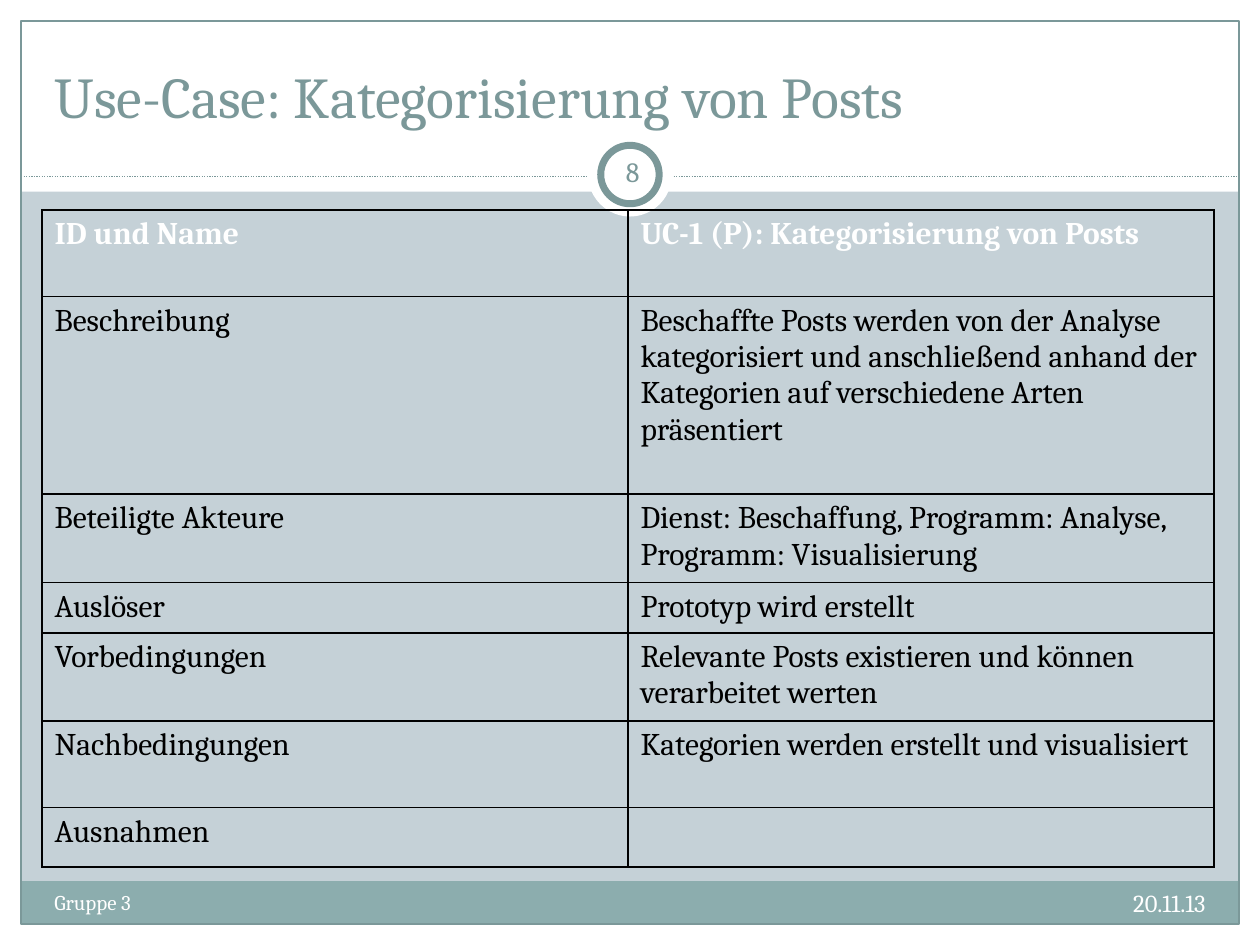
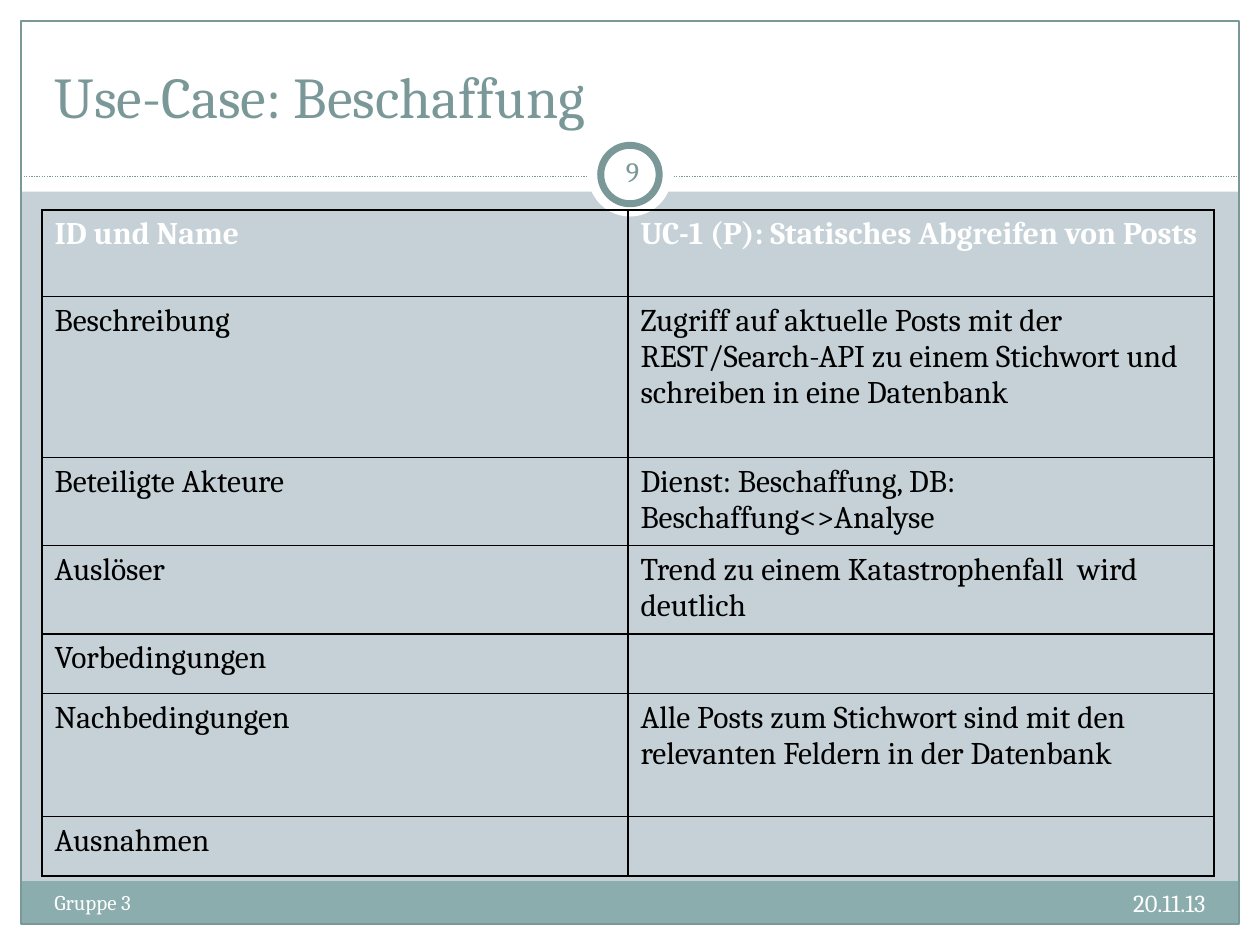
from collections import namedtuple
from dataclasses import dataclass

from lxml import etree
from pptx import Presentation
from pptx.dml.color import RGBColor
from pptx.enum import dml, shapes, text
from pptx.oxml import ns
from pptx.util import Pt

Box = namedtuple("Box", "left top width height")


@dataclass(frozen=True)
class Theme:
    font: str = "Cambria"
    paper: str = "FFFFFF"
    ground: str = "C5D1D7"
    accent: str = "7B9899"
    band: str = "8CADAE"
    ink: str = "000000"
    title: int = 33
    body: int = 18
    number: int = 16
    date: int = 14
    footer: int = 12
    hairline: float = 0.74
    ring: int = 4
    grid: int = 1


THEME = Theme()
PAGE = Box(0, 0, 720, 540)
MARGIN = 12
HEADER_HEIGHT = 109.5
FOOTER_TOP = 503.5
TEXT_LEFT, TEXT_WIDTH = 24, 672
TITLE_BOX = Box(TEXT_LEFT, 18, TEXT_WIDTH, 60)
FOOTER_BOX = Box(TEXT_LEFT, FOOTER_TOP, TEXT_WIDTH, 29)
BADGE_BOX = Box(336, 75.75, 48, 48)
TABLE_BOX = Box(TEXT_LEFT, 120, 669.6, 0)
RULE_Y = 101

LABELS = ("ID und Name", "Beschreibung", "Beteiligte Akteure", "Auslöser",
          "Vorbedingungen", "Nachbedingungen", "Ausnahmen")

USE_CASES = [
    {"number": 8,
     "title": "Use-Case: Kategorisierung von Posts",
     "heights": (49.4, 113, 49.4, 28.4, 49.4, 49.4, 34),
     "details": (
         "UC-1 (P): Kategorisierung von Posts",
         "Beschaffte Posts werden von der Analyse kategorisiert und "
         "anschließend anhand der Kategorien auf verschiedene Arten präsentiert",
         "Dienst: Beschaffung, Programm: Analyse, Programm: Visualisierung",
         "Prototyp wird erstellt",
         "Relevante Posts existieren und können verarbeitet werten",
         "Kategorien werden erstellt und visualisiert",
         "")},
    {"number": 9,
     "title": "Use-Case: Beschaffung",
     "heights": (49.4, 92, 49.4, 49.4, 34, 70.4, 34),
     "details": (
         "UC-1 (P): Statisches Abgreifen von Posts",
         "Zugriff auf aktuelle Posts mit der REST/Search-API zu einem "
         "Stichwort und schreiben in eine Datenbank",
         "Dienst: Beschaffung, DB: Beschaffung<>Analyse",
         "Trend zu einem Katastrophenfall  wird deutlich",
         "",
         "Alle Posts zum Stichwort sind mit den relevanten Feldern in der "
         "Datenbank",
         "")},
]


def set_all(target, values):
    for name, value in values.items():
        setattr(target, name, value)


def points(box):
    return [Pt(length) for length in box]


def inset(box, gap):
    return Box(box.left + gap, box.top + gap,
               box.width - 2 * gap, box.height - 2 * gap)


def style_font(font, size, color, bold=False):
    set_all(font, {"name": THEME.font, "size": Pt(size), "bold": bold})
    font.color.rgb = RGBColor.from_string(color)


def add_figure(slide, kind, box, fill=None, line=None, weight=0):
    figure = slide.shapes.add_shape(kind, *points(box))
    figure.shadow.inherit = False
    if fill:
        figure.fill.solid()
        figure.fill.fore_color.rgb = RGBColor.from_string(fill)
    else:
        figure.fill.background()
    if line:
        figure.line.color.rgb = RGBColor.from_string(line)
        figure.line.width = Pt(weight)
    else:
        figure.line.fill.background()


def add_label(slide, box, words, size, color, align=text.PP_ALIGN.LEFT,
              anchor=text.MSO_ANCHOR.TOP, side=7.2):
    frame = slide.shapes.add_textbox(*points(box)).text_frame
    set_all(frame, {"word_wrap": True, "vertical_anchor": anchor,
                    "margin_left": Pt(side), "margin_right": Pt(side),
                    "margin_top": Pt(3.6), "margin_bottom": Pt(3.6)})
    paragraph = frame.paragraphs[0]
    paragraph.alignment = align
    run = paragraph.add_run()
    run.text = words
    style_font(run.font, size, color)


# Shared frame: white margins, footer band, outline and dotted rule
def draw_frame(slide, page):
    slide.background.fill.solid()
    slide.background.fill.fore_color.rgb = RGBColor.from_string(THEME.ground)
    rectangle = shapes.MSO_SHAPE.RECTANGLE
    inner = inset(page, MARGIN)
    right, bottom = inner.left + inner.width, inner.top + inner.height
    for edge in (Box(page.left, bottom, page.width, MARGIN),
                 Box(page.left, page.top, page.width, HEADER_HEIGHT),
                 Box(page.left, page.top, MARGIN, page.height),
                 Box(right, page.top, MARGIN, page.height)):
        add_figure(slide, rectangle, edge, THEME.paper)
    band_top = page.top + FOOTER_TOP
    add_figure(slide, rectangle,
               Box(inner.left, band_top, inner.width, bottom - band_top),
               THEME.band)
    add_figure(slide, rectangle, inner, line=THEME.accent,
               weight=THEME.hairline)

    rule_y = Pt(page.top + RULE_Y)
    rule = slide.shapes.add_connector(shapes.MSO_CONNECTOR.STRAIGHT,
                                      Pt(inner.left), rule_y, Pt(right), rule_y)
    rule.line.color.rgb = RGBColor.from_string(THEME.accent)
    set_all(rule.line, {"width": Pt(THEME.hairline),
                        "dash_style": dml.MSO_LINE.ROUND_DOT})
    etree.SubElement(rule._element.spPr, ns.qn("a:effectLst"))


# Round badge on the rule; its number is added above the table
def draw_badge(slide, box):
    oval = shapes.MSO_SHAPE.OVAL
    add_figure(slide, oval, box, THEME.paper)
    add_figure(slide, oval, inset(box, 7.3), THEME.paper, THEME.accent,
               THEME.ring)


def draw_number(slide, box, number):
    add_label(slide, Box(box.left + 7.5, box.top + 5, 36, 34.5), str(number),
              THEME.number, THEME.accent, text.PP_ALIGN.CENTER,
              text.MSO_ANCHOR.MIDDLE, side=3.6)


def draw_footer(slide, box):
    half = box.width / 2
    add_label(slide, Box(box.left + half, box.top + 0.5, half, box.height),
              "20.11.13", THEME.date, THEME.paper, text.PP_ALIGN.RIGHT)
    add_label(slide, Box(box.left, box.top + 1, half, box.height),
              "Gruppe 3", THEME.footer, THEME.paper)


def add_borders(cell):
    properties = cell._tc.get_or_add_tcPr()
    for position, side in enumerate(("lnL", "lnR", "lnT", "lnB")):
        border = etree.Element(ns.qn(f"a:{side}"), w=str(Pt(THEME.grid)))
        fill = etree.SubElement(border, ns.qn("a:solidFill"))
        etree.SubElement(fill, ns.qn("a:srgbClr"), val=THEME.ink)
        properties.insert(position, border)


# Use-case table: fixed labels on the left, details on the right
def draw_table(slide, box, details, heights):
    place = box._replace(height=sum(heights))
    table = slide.shapes.add_table(len(LABELS), 2, *points(place)).table
    set_all(table, {"first_row": False, "horz_banding": False})
    for column in table.columns:
        column.width = Pt(box.width / 2)
    for index, row in enumerate(zip(LABELS, details)):
        table.rows[index].height = Pt(heights[index])
        heading = index == 0
        for column, words in enumerate(row):
            cell = table.cell(index, column)
            cell.fill.background()
            add_borders(cell)
            paragraph = cell.text_frame.paragraphs[0]
            if words:
                run = paragraph.add_run()
                run.text = words
                style_font(run.font, THEME.body,
                           THEME.paper if heading else THEME.ink, heading)


def build_use_case(deck, case):
    slide = deck.slides.add_slide(deck.slide_layouts[6])
    draw_frame(slide, PAGE)
    draw_badge(slide, BADGE_BOX)
    add_label(slide, TITLE_BOX, case["title"], THEME.title, THEME.accent,
              anchor=text.MSO_ANCHOR.BOTTOM)
    draw_table(slide, TABLE_BOX, case["details"], case["heights"])
    draw_footer(slide, FOOTER_BOX)
    draw_number(slide, BADGE_BOX, case["number"])


deck = Presentation()
set_all(deck, {"slide_width": Pt(PAGE.width), "slide_height": Pt(PAGE.height)})
for use_case in USE_CASES:
    build_use_case(deck, use_case)
deck.save("out.pptx")
